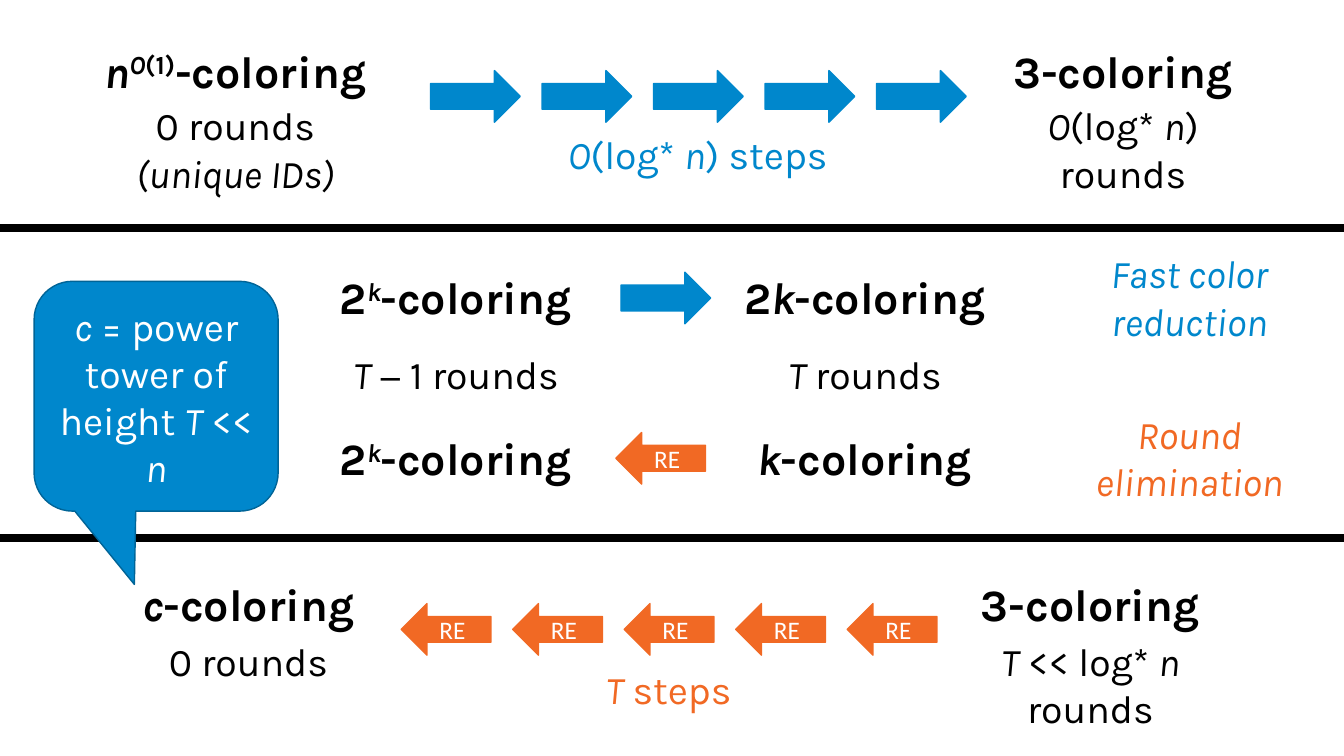
from pptx import Presentation
from pptx.dml.color import RGBColor
from pptx.enum.shapes import MSO_CONNECTOR as CONN, MSO_SHAPE as SHAPE
from pptx.enum.text import MSO_ANCHOR as ANCHOR, MSO_AUTO_SIZE as AUTO, PP_ALIGN as ALIGN
from pptx.oxml.ns import qn
from pptx.util import Cm, Pt
from lxml import etree

COLORS = {"black": "000000", "white": "FFFFFF", "blue": "0087CC",
          "navy": "006497", "orange": "F16924"}
SLIDE_W, SLIDE_H = 33.87, 19.05
ARROW_W, ARROW_H, ARROW_STEP = 2.26, 1.3, 2.81


def rgb(name):
    return RGBColor.from_string(COLORS[name])


def write_text(tf, text, size=28, color="black", bold=False, font="Karla"):
    """Fill tf line by line; _ toggles italic and ^ toggles superscript."""
    for i, line in enumerate(text.split("\n")):
        p = tf.paragraphs[0] if i == 0 else tf.add_paragraph()
        p.alignment = ALIGN.CENTER
        for j, raised in enumerate(line.split("^")):
            for k, part in enumerate(raised.split("_")):
                if not part:
                    continue
                r = p.add_run()
                r.text = part
                r.font.name, r.font.size = font, Pt(size)
                r.font.bold, r.font.italic = bold, k % 2 == 1
                r.font.color.rgb = rgb(color)
                if j % 2:
                    r.font._element.set("baseline", "30000")


def add_label(s, center, top, width, text, **fmt):
    lines = text.count("\n") + 1
    height = 1.63 if fmt.get("size") == 32 else 0.24 + 1.2 * lines
    sp = s.shapes.add_textbox(Cm(center - width / 2), Cm(top), Cm(width), Cm(height))
    tf = sp.text_frame
    tf.word_wrap = False
    tf.auto_size = AUTO.SHAPE_TO_FIT_TEXT
    write_text(tf, text, **fmt)


def add_heading(s, center, top, width, text):
    add_label(s, center, top, width, text, size=32, bold=True)


def add_block(s, preset, left, top, width, height, fill, line):
    sp = s.shapes.add_shape(preset, Cm(left), Cm(top), Cm(width), Cm(height))
    sp.shadow.inherit = False
    sp.fill.solid()
    sp.fill.fore_color.rgb = rgb(fill)
    sp.line.color.rgb = rgb(line)
    sp.line.width = Pt(1)
    sp.text_frame.word_wrap = True
    sp.text_frame.vertical_anchor = ANCHOR.MIDDLE
    return sp


def add_reductions(s, left, top, count=1):
    for i in range(count):
        add_block(s, SHAPE.RIGHT_ARROW, left + i * ARROW_STEP, top,
                  ARROW_W, ARROW_H, "blue", "blue")


def add_eliminations(s, left, top, count=1):
    for i in range(count):
        sp = add_block(s, SHAPE.LEFT_ARROW, left + i * ARROW_STEP, top,
                       ARROW_W, ARROW_H, "orange", "orange")
        write_text(sp.text_frame, "RE", size=18, color="white", font="Calibri")


def add_divider(s, top):
    line = s.shapes.add_connector(CONN.STRAIGHT, Cm(0), Cm(top), Cm(SLIDE_W), Cm(top))
    line.line.color.rgb = rgb("black")
    line.line.width = Pt(6)
    etree.SubElement(line._element.spPr, qn("a:effectLst"))


def add_callout(s, text):
    sp = add_block(s, SHAPE.ROUNDED_RECTANGULAR_CALLOUT, 0.86, 7.09, 6.15, 5.79,
                   "blue", "navy")
    for i, value in enumerate((-0.089, 0.819, 0.167)):
        sp.adjustments[i] = value
    write_text(sp.text_frame, text, color="white")


def add_upper_bound(s):
    add_heading(s, 5.93, 0.97, 8.1, "_n^_O_(1)^-coloring")
    add_label(s, 5.93, 2.44, 6.07, "0 rounds\n_(unique IDs)_")
    add_reductions(s, 10.85, 1.78, count=5)
    add_label(s, 17.58, 3.15, 7.52, "_O_(log* _n_) steps", color="blue")
    add_heading(s, 28.3, 0.97, 6.5, "3-coloring")
    add_label(s, 28.3, 2.44, 4.8, "_O_(log* _n_)\nrounds")


def add_single_steps(s):
    for top in (6.68, 10.74):
        add_heading(s, 11.49, top, 6.99, "2^_k_^-coloring")
    add_heading(s, 21.8, 6.68, 7.21, "2_k_-coloring")
    add_heading(s, 21.8, 10.74, 6.58, "_k_-coloring")
    add_label(s, 11.49, 8.71, 6.15, "_T_ − 1 rounds")
    add_label(s, 21.8, 8.71, 4.52, "_T_ rounds")
    add_reductions(s, 15.65, 6.86)
    add_eliminations(s, 15.52, 10.9)
    add_label(s, 29.97, 6.17, 4.98, "_Fast color_\n_reduction_", color="blue")
    add_label(s, 29.97, 10.21, 5.64, "_Round_\n_elimination_", color="orange")


def add_lower_bound(s):
    add_heading(s, 6.26, 14.4, 6.43, "_c_-coloring")
    add_label(s, 6.26, 15.93, 4.6, "0 rounds")
    add_eliminations(s, 10.11, 15.21, count=5)
    add_label(s, 16.85, 16.64, 3.78, "_T_ steps", color="orange")
    add_heading(s, 27.48, 14.4, 6.5, "3-coloring")
    add_label(s, 27.48, 15.93, 5.87, "_T_ << log* _n_\nrounds")


def main():
    prs = Presentation()
    prs.slide_width, prs.slide_height = Cm(SLIDE_W), Cm(SLIDE_H)
    s = prs.slides.add_slide(prs.slide_layouts[6])
    add_upper_bound(s)
    add_single_steps(s)
    add_lower_bound(s)
    for top in (5.74, 13.56):
        add_divider(s, top)
    add_callout(s, "_c_ = power tower of height _T_ << _n_")
    prs.save("out.pptx")


if __name__ == "__main__":
    main()
